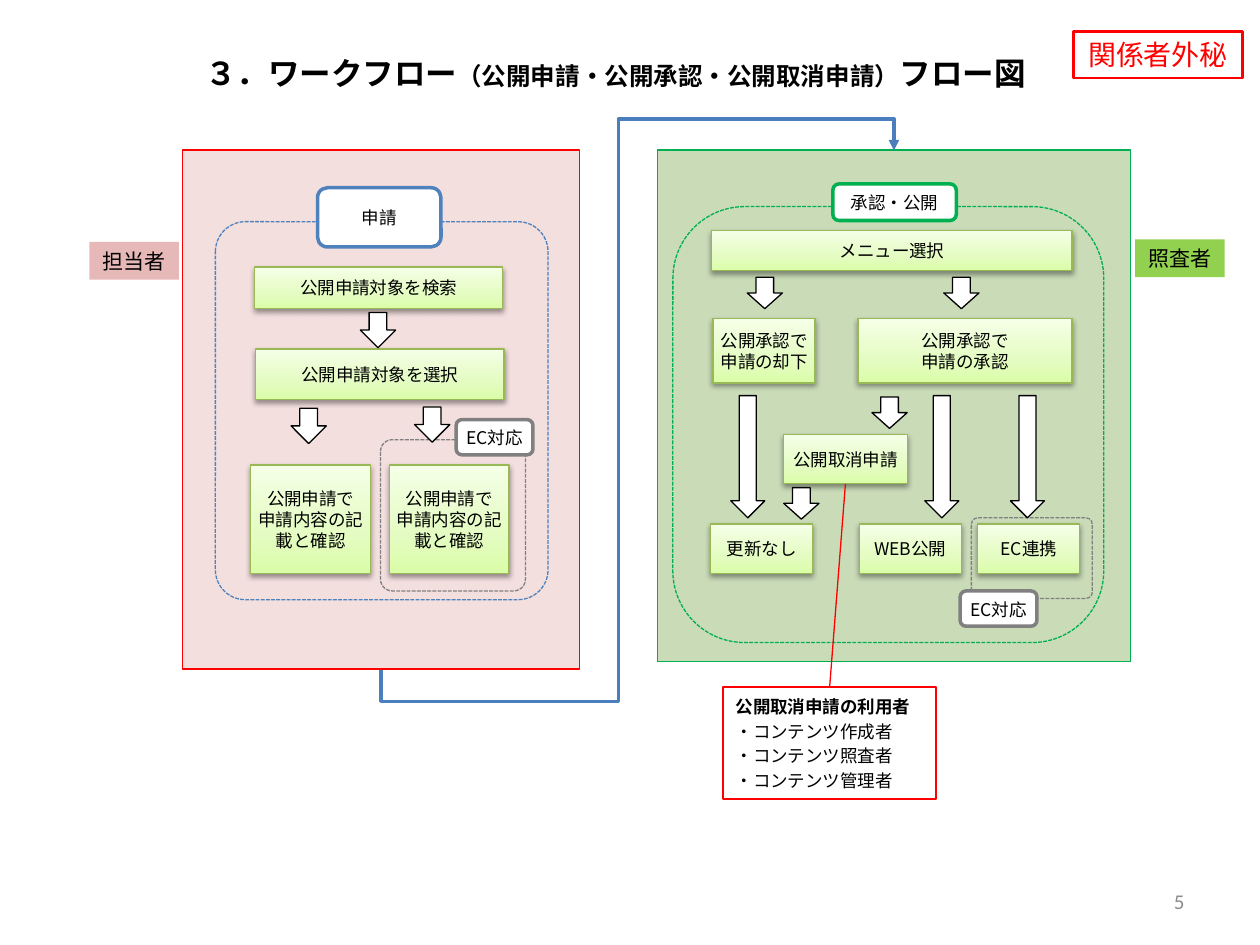
from copy import deepcopy

from lxml import etree
from pptx import Presentation
from pptx import util as u
from pptx.dml import color
from pptx.enum import dml, shapes, text
from pptx.oxml import ns

COLORS = {
    "black": "000000", "white": "FFFFFF", "red": "FF0000", "gray": "808080",
    "number": "8C8C8C", "blue": "4F81BD", "route": "4B7EBC", "green": "00B050",
    "pink_panel": "C0504D", "green_panel": "6D9C3C",
    "pink_role": "E6B9B8", "green_role": "92D050",
    "step_low": "DAFDA7", "step_mid": "E4FCC2", "step_high": "F5FFE7",
    "step_line": "98B955",
}
FONT = "Noto Sans CJK JP"
KIND = shapes.MSO_SHAPE
ALIGN = text.PP_ALIGN
ANCHOR = text.MSO_ANCHOR


def rgb(name):
    return color.RGBColor.from_string(COLORS[name])


def child(parent, tag, **attributes):
    return etree.SubElement(parent, ns.qn(tag), attributes)


def within(box, left, top, width, height):
    """Turn a place inside a region into a place on the page."""
    return box[0] + left, box[1] + top, width, height


def add_span(para, words, size, ink="black", bold=False, font=FONT):
    span = para.add_run()
    span.text = words
    span.font.size, span.font.bold, span.font.name = u.Pt(size), bold, font
    span.font.color.rgb = rgb(ink)
    child(span.font._element, "a:ea", typeface=font)


def write(shape, lines, size=10, ink="black", align=ALIGN.CENTER,
          anchor=ANCHOR.MIDDLE, side=0.0, wrap=True, font=FONT):
    frame = shape.text_frame
    frame.word_wrap, frame.vertical_anchor = wrap, anchor
    frame.margin_left = frame.margin_right = u.Inches(side)
    frame.margin_top = frame.margin_bottom = u.Inches(0.05)
    for index, line in enumerate(lines):
        para = frame.paragraphs[0] if index == 0 else frame.add_paragraph()
        para.alignment = align
        add_span(para, line, size, ink, font=font)
    return frame


def add_box(page, place, kind=KIND.RECTANGLE, fill=None, line=None, weight=0.75,
            dashed=False, corner=None):
    shape = page.shapes.add_shape(kind, *map(u.Inches, place))
    shape.shadow.inherit = False
    if fill:
        shape.fill.solid()
        shape.fill.fore_color.rgb = rgb(fill)
    else:
        shape.fill.background()
    if line:
        shape.line.color.rgb = rgb(line)
        shape.line.width = u.Pt(weight)
    else:
        shape.line.fill.background()
    if dashed:
        shape.line.dash_style = dml.MSO_LINE.SQUARE_DOT
    if corner:
        shape.adjustments[0] = corner
    return shape


def add_panel(page, box, fill, line, opacity):
    panel = add_box(page, box, fill=fill, line=line)
    tint = panel._element.spPr.find(".//" + ns.qn("a:srgbClr"))
    child(tint, "a:alpha", val=str(opacity * 1000))
    return panel


def add_frame(page, place, line, corner=None):
    add_box(page, place, KIND.ROUNDED_RECTANGLE, line=line, dashed=True, corner=corner)


def add_tag(page, place, words, line, anchor=ANCHOR.MIDDLE):
    tag = add_box(page, place, KIND.ROUNDED_RECTANGLE, "white", line, 2)
    write(tag, [words], anchor=anchor)


def add_ec_group(page, frame_place, tag_place):
    add_frame(page, frame_place, "gray", 0.08)
    add_tag(page, tag_place, "EC対応", "gray", ANCHOR.TOP)


def add_role(page, place, words, fill):
    role = add_box(page, place, fill=fill)
    write(role, [words], 12, anchor=ANCHOR.TOP, side=0.1, wrap=False)


def add_step(page, place, *lines):
    step = add_box(page, place, line="step_line")
    step.fill.gradient()
    step.fill.gradient_angle = 90
    stops = step._element.spPr.find(".//" + ns.qn("a:gsLst"))
    stops.append(deepcopy(stops[-1]))
    shades = (("step_low", 0), ("step_mid", 0.35), ("step_high", 1))
    for stop, (shade, position) in zip(step.fill.gradient_stops, shades):
        stop.color.rgb, stop.position = rgb(shade), position
    effects = step._element.spPr.find(ns.qn("a:effectLst"))
    shadow = child(effects, "a:outerShdw", blurRad="40000", dist="20000",
                   dir="5400000", rotWithShape="0")
    child(child(shadow, "a:srgbClr", val=COLORS["black"]), "a:alpha", val="38000")
    write(step, lines)


def add_arrows(page, box, places):
    for place in places:
        add_box(page, within(box, *place), KIND.DOWN_ARROW, "white", "black")


def add_line(page, kind, start, end, ink, weight, arrow=False):
    line = page.shapes.add_connector(kind, *map(u.Inches, start + end))
    line.line.color.rgb, line.line.width = rgb(ink), u.Pt(weight)
    if arrow:
        child(line.line._get_or_add_ln(), "a:tailEnd", type="triangle")
    child(line._element.spPr, "a:effectLst")
    return line


def add_heading(page, box):
    title = page.shapes.title
    title.left, title.top, title.width, title.height = map(u.Inches, box)
    frame = title.text_frame
    frame.vertical_anchor, frame.auto_size = ANCHOR.MIDDLE, text.MSO_AUTO_SIZE.NONE
    para = frame.paragraphs[0]
    para.alignment = ALIGN.LEFT
    for words, size in (("３．ワークフロー", 18),
                        ("（公開申請・公開承認・公開取消申請）", 14), ("フロー図", 18)):
        add_span(para, words, size, bold=True)


def add_application(page, box):
    panel = add_panel(page, box, "pink_panel", "red", 18)
    add_role(page, within(box, -0.74, 0.73, 0.71, 0.3), "担当者", "pink_role")
    add_frame(page, within(box, 0.26, 0.57, 2.64, 3), "blue", 0.09)
    add_tag(page, within(box, 1.07, 0.3, 0.98, 0.47), "申請", "blue")
    add_ec_group(page, within(box, 1.57, 2.3, 1.15, 1.2),
                 within(box, 2.17, 2.14, 0.61, 0.28))
    add_step(page, within(box, 0.57, 0.93, 1.97, 0.33), "公開申請対象を検索")
    add_step(page, within(box, 0.58, 1.58, 1.97, 0.4), "公開申請対象を選択")
    for left in (0.54, 1.64):
        add_step(page, within(box, left, 2.5, 0.95, 0.86),
                 "公開申請で", "申請内容の記載と確認")
    add_arrows(page, box, [(left, top, 0.28, 0.28) for left, top in
                           ((1.41, 1.29), (0.86, 2.05), (1.84, 2.04))])
    return panel


def add_approval(page, box):
    panel = add_panel(page, box, "green_panel", "green", 36)
    add_role(page, within(box, 3.79, 0.71, 0.71, 0.3), "照査者", "green_role")
    add_frame(page, within(box, 0.12, 0.45, 3.42, 3.46), "green")
    add_tag(page, within(box, 1.39, 0.27, 0.98, 0.29), "承認・公開", "green")
    add_ec_group(page, within(box, 2.49, 2.92, 0.96, 0.64),
                 within(box, 2.4, 3.5, 0.61, 0.28))
    add_step(page, within(box, 0.43, 0.64, 2.86, 0.32), "メニュー選択")
    add_step(page, within(box, 0.44, 1.34, 0.81, 0.51), "公開承認で", "申請の却下")
    add_step(page, within(box, 1.59, 1.34, 1.7, 0.51), "公開承認で", "申請の承認")
    add_step(page, within(box, 1, 2.26, 0.98, 0.39), "公開取消申請")
    for left, words in ((0.42, "更新なし"), (1.6, "WEB公開"), (2.54, "EC連携")):
        add_step(page, within(box, left, 2.97, 0.81, 0.39), words)
    short = [(left, top, 0.28, 0.25) for left, top in
             ((0.71, 1.01), (2.27, 1.01), (1.7, 1.96), (1, 2.68))]
    long = [(left, 1.95, 0.27, 0.97) for left in (0.58, 2.12, 2.8)]
    add_arrows(page, box, short + long)
    return panel


def add_route(page, source, target):
    """Join the bottom of one panel to the top of the next."""
    route = add_line(page, shapes.MSO_CONNECTOR.ELBOW, (3.02, 5.31), (7.09, 1.19),
                     "route", 2, arrow=True)
    route.begin_connect(source, 2)
    route.end_connect(target, 0)
    # A five-part elbow is drawn lying down, then turned upright
    route.left, route.top, route.width, route.height = map(
        u.Inches, (3, 1.22, 4.12, 4.07))
    properties = route._element.spPr
    for name, value in (("rot", "5400000"), ("flipH", "1"), ("flipV", "1")):
        properties.find(ns.qn("a:xfrm")).set(name, value)
    geometry = properties.find(ns.qn("a:prstGeom"))
    geometry.set("prst", "bentConnector5")
    guides = geometry.find(ns.qn("a:avLst"))
    if guides is None:
        guides = child(geometry, "a:avLst")
    for number, bend in enumerate((-6100, 46300, 106100), 1):
        child(guides, "a:gd", name=f"adj{number}", fmla=f"val {bend}")


def add_user_note(page, box):
    note = add_box(page, box, fill="white", line="red", weight=1)
    frame = write(note, ["公開取消申請の利用者", "・コンテンツ作成者", "・コンテンツ照査者",
                         "・コンテンツ管理者"],
                  align=ALIGN.LEFT, anchor=ANCHOR.TOP, side=0.1)
    frame.paragraphs[0].runs[0].font.bold = True
    for para in frame.paragraphs:
        para.line_spacing = u.Pt(14)
    add_line(page, shapes.MSO_CONNECTOR.STRAIGHT, (6.71, 3.84),
             (box[0] + box[2] / 2, box[1]), "red", 0.75)


def main():
    deck = Presentation()
    deck.slide_width, deck.slide_height = u.Inches(10), u.Inches(7.5)
    page = deck.slides.add_slide(deck.slide_layouts[5])

    # Heading and confidentiality mark
    mark = add_box(page, (8.52, 0.25, 1.34, 0.37), line="red", weight=1.5)
    write(mark, ["関係者外秘"], 16, "red", anchor=ANCHOR.TOP, side=0.1)
    add_heading(page, (1.53, 0.31, 7.81, 0.54))

    # Workflow panels and the route between them
    application = add_application(page, (1.45, 1.19, 3.15, 4.12))
    approval = add_approval(page, (5.22, 1.19, 3.75, 4.06))
    add_route(page, application, approval)
    add_user_note(page, (5.74, 5.45, 1.69, 0.89))

    # Page number
    number = page.shapes.add_textbox(*map(u.Inches, (7.17, 6.95, 2.33, 0.4)))
    write(number, ["5"], 12, "number", ALIGN.RIGHT, side=0.1, font="Calibri")
    deck.save("out.pptx")


if __name__ == "__main__":
    main()
